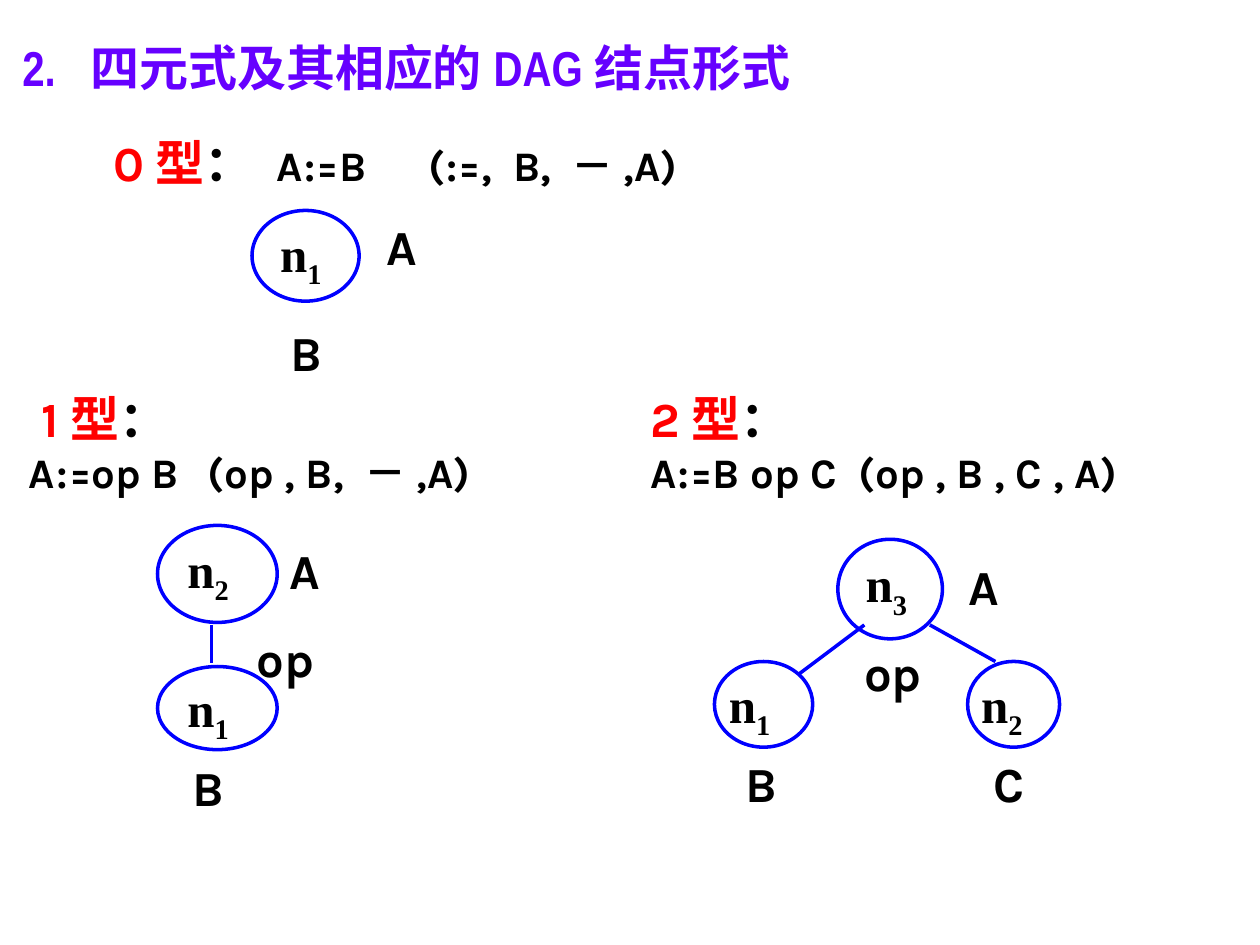
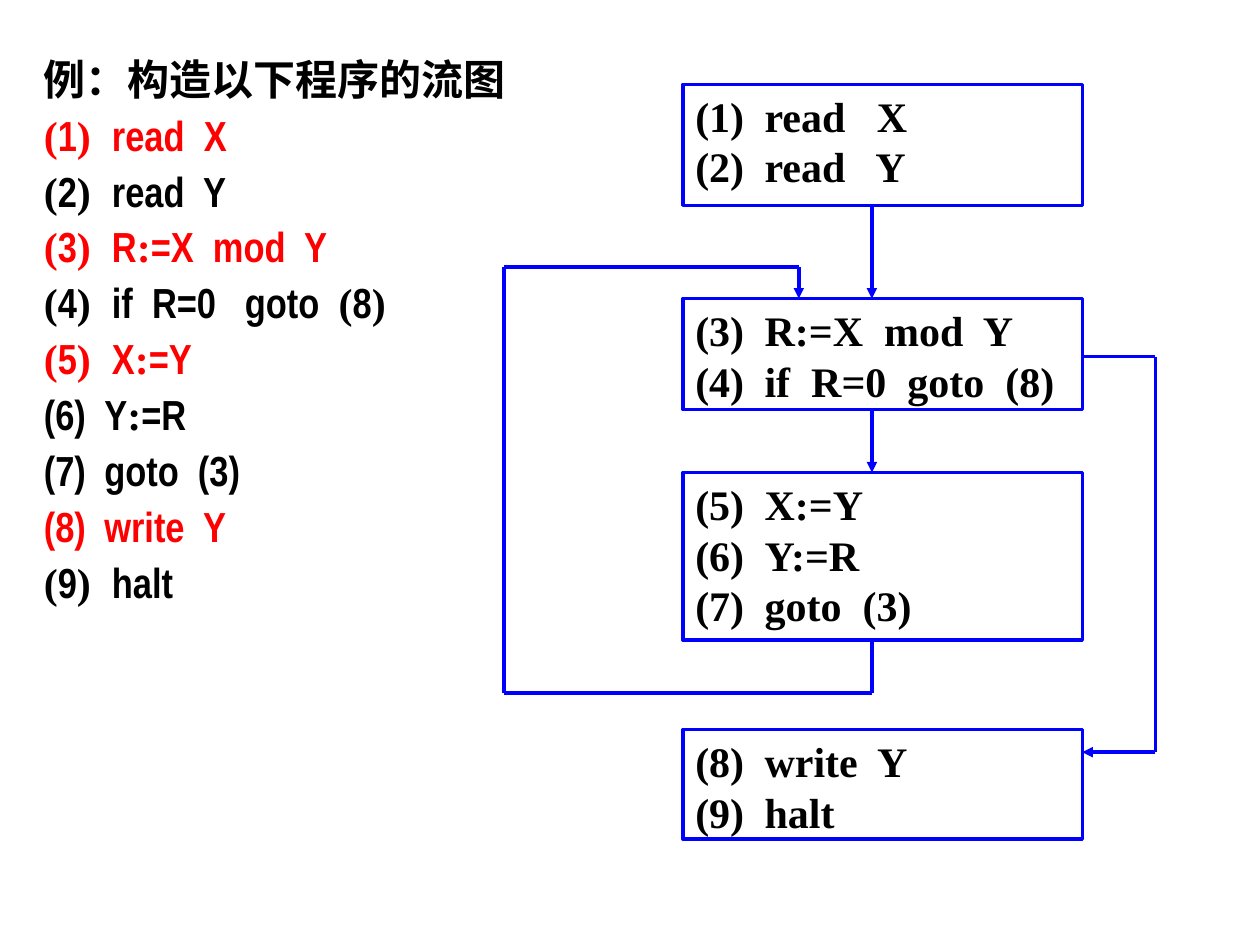
from dataclasses import dataclass
from itertools import groupby, pairwise

from lxml import etree
from pptx import Presentation
from pptx import util as u
from pptx.dml.color import RGBColor
from pptx.enum import shapes as sh, text as tx
from pptx.oxml.ns import qn


@dataclass(frozen=True)
class Theme:
    ink: str = "000000"
    red: str = "FF0000"
    blue: str = "0000FF"
    violet: str = "6600FF"
    paper: str = "FFFFFF"
    sans: str = "Karla"
    narrow: str = "Arial Narrow"
    serif: str = "Times New Roman"
    big: int = 28
    mid: int = 24
    line: int = 2


T = Theme()

TITLE = "2.\t四元式及其相应的DAG结点形式"

# Headings: place, inset, tab stop, lines of (text, colour, size) parts
HEADS = [
    ((0.8, 1, 5.2, 0.57), (0.1, 0.05), 2.5, [
        [("0型", T.red, T.big), ("： ", T.ink, T.big),
         ("A:=B\t(:=,  B, －,A)", T.ink, T.mid)]]),
    ((0.23, 3.08, 4.2, 0.93), (0, 0), 1.42, [
        [(" ", T.ink, T.big), ("1型", T.red, T.big), ("：", T.ink, T.big)],
        [("A:=op B\t(op , B, －,A)", T.ink, T.mid)]]),
    ((5.16, 3.08, 4.3, 0.87), (0, 0), 1, [
        [("2型", T.red, T.big), ("：", T.ink, T.big)],
        [("A:=B op C  (op , B , C , A)", T.ink, T.mid)]]),
]

# Nodes: index, place, left inset of the text
NODES = [
    ("1", (2, 1.67, 0.85, 0.72), 0.1),
    ("2", (1.25, 4.17, 0.95, 0.77), 0.1),
    ("1", (1.25, 5.29, 0.95, 0.66), 0.1),
    ("3", (6.65, 4.28, 0.83, 0.79), 0.1),
    ("1", (5.67, 5.25, 0.78, 0.68), 0),
    ("2", (7.68, 5.25, 0.73, 0.68), 0),
]
EDGES = [
    [(1.68, 4.96), (1.68, 5.26)],
    [(6.86, 4.96), (6.34, 5.35)],
    [(7.38, 4.96), (7.9, 5.25)],
]
LABELS = [
    ("B", 2.21, 2.51), ("A", 2.97, 1.67),
    ("op", 1.94, 4.94), ("B", 1.43, 5.96), ("A", 2.2, 4.24),
    ("B", 5.82, 5.93), ("C", 7.79, 5.93), ("op", 6.76, 5.05), ("A", 7.59, 4.37),
]

# Program: line, colour, characters set in the serif face
PROGRAM = [
    ("例：构造以下程序的流图", T.ink, ":()"),
    ("(1)\tread  X", T.red, ":()"),
    ("(2)\tread  Y", T.ink, ":()"),
    ("(3)\tR:=X  mod  Y", T.red, ":()"),
    ("(4)\tif  R=0   goto  (8)", T.ink, ":()"),
    ("(5)\tX:=Y", T.red, ":()"),
    ("(6)\tY:=R", T.ink, ":"),
    ("(7)\tgoto  (3)", T.ink, ":"),
    ("(8)\twrite  Y", T.red, ":"),
    ("(9)\thalt", T.ink, ":()"),
]

# Blocks of the flow graph: top, height, lines
BLOCKS = [
    (0.67, 0.96, ["(1)\tread   X", "(2)\tread   Y"]),
    (2.37, 0.88, ["(3)\tR:=X  mod  Y", "(4)\tif  R=0  goto  (8)"]),
    (3.75, 1.33, ["(5)\tX:=Y", "(6)\tY:=R", "(7)\tgoto  (3)"]),
    (5.79, 0.87, ["(8)\twrite  Y", "(9)\thalt"]),
]
LEFT, WIDE, MID = 5.42, 3.17, 6.92
RIGHT = LEFT + WIDE
FLOWS = [
    [(MID, 1.63), (MID, 2.37)],
    [(MID, 3.25), (MID, 3.75)],
    [(MID, 5.08), (MID, 5.5), (4, 5.5), (4, 2.12), (6.34, 2.12), (6.34, 2.37)],
    [(RIGHT, 2.83), (9.17, 2.83), (9.17, 5.97), (RIGHT, 5.97)],
]


def rgb(code):
    return RGBColor.from_string(code)


def add_run(para, words, font, size, color, base=None):
    run = para.add_run()
    run.text = words
    run.font.name, run.font.size, run.font.bold = font, u.Pt(size), True
    run.font.color.rgb = rgb(color)
    if base:
        run._r.get_or_add_rPr().set("baseline", str(base * 1000))


def add_mixed(para, words, font, size, color, serif=":"):
    """Set wide characters and those in serif in the serif face."""
    for odd, part in groupby(words, lambda c: c in serif or ord(c) > 0x2E00):
        add_run(para, "".join(part), T.serif if odd else font, size, color)


def set_tab(para, pos):
    tabs = etree.SubElement(para._p.get_or_add_pPr(), qn("a:tabLst"))
    etree.SubElement(tabs, qn("a:tab"), pos=str(u.Inches(pos)), algn="l")


def set_frame(shape, inset):
    """Prepare the text frame of a shape; inset is left and top."""
    frame = shape.text_frame
    frame.word_wrap = True
    frame.vertical_anchor = tx.MSO_ANCHOR.TOP
    side, top = map(u.Inches, inset)
    frame.margin_left = frame.margin_right = side
    frame.margin_top = frame.margin_bottom = top
    return frame


def add_text(slide, place, inset=(0.1, 0.05)):
    return set_frame(slide.shapes.add_textbox(*map(u.Inches, place)), inset)


def add_box(slide, kind, place, inset=(0.1, 0.05)):
    box = slide.shapes.add_shape(kind, *map(u.Inches, place))
    box.shadow.inherit = False
    box.fill.solid()
    box.fill.fore_color.rgb = rgb(T.paper)
    box.line.color.rgb = rgb(T.blue)
    box.line.width = u.Pt(T.line)
    return set_frame(box, inset)


def add_paras(frame, count, tab=None):
    """Yield count left-aligned paragraphs of a frame."""
    for i in range(count):
        para = frame.add_paragraph() if i else frame.paragraphs[0]
        para.alignment = tx.PP_ALIGN.LEFT
        if tab:
            set_tab(para, tab)
        yield para


def add_route(slide, points, arrow=False):
    legs = list(pairwise(points))
    for i, (a, b) in enumerate(legs, 1):
        leg = slide.shapes.add_connector(
            sh.MSO_CONNECTOR.STRAIGHT, *map(u.Inches, a + b))
        leg.line.color.rgb = rgb(T.blue)
        leg.line.width = u.Pt(T.line)
        props = leg._element.spPr
        if arrow and i == len(legs):
            etree.SubElement(props.find(qn("a:ln")), qn("a:tailEnd"), type="triangle")
        etree.SubElement(props, qn("a:effectLst"))


def draw_forms(slide):
    para, = add_paras(add_text(slide, (0.08, 0.25, 8.5, 0.67)), 1, 0.54)
    add_mixed(para, TITLE, T.narrow, T.big, T.violet)

    for place, inset, tab, lines in HEADS:
        frame = add_text(slide, place, inset)
        for para, parts in zip(add_paras(frame, len(lines), tab), lines):
            for words, color, size in parts:
                add_mixed(para, words, T.sans, size, color)

    for index, place, inset in NODES:
        frame = add_box(slide, sh.MSO_SHAPE.OVAL, place, (0, 0))
        frame.margin_left = u.Inches(inset)
        para, = add_paras(frame, 1)
        add_run(para, "n", T.serif, T.big, T.ink)
        add_run(para, index, T.serif, T.big, T.ink, base=-25)

    for points in EDGES:
        add_route(slide, points)

    for words, x, y in LABELS:
        para, = add_paras(add_text(slide, (x, y, 0.75, 0.57)), 1)
        add_run(para, words, T.sans, T.big, T.ink)


def draw_flow(slide):
    frame = add_text(slide, (0.25, 0.42, 4.17, 4.5))
    paras = add_paras(frame, len(PROGRAM))
    for i, (para, (words, color, serif)) in enumerate(zip(paras, PROGRAM)):
        para.line_spacing = 0.9
        if i:
            para.space_before = u.Pt(6)
        set_tab(para, 0.54 if "(" in serif else 0.48)
        add_mixed(para, words, T.narrow, T.mid, color, serif)

    for top, high, lines in BLOCKS:
        frame = add_box(slide, sh.MSO_SHAPE.RECTANGLE, (LEFT, top, WIDE, high))
        for para, words in zip(add_paras(frame, len(lines), 0.55), lines):
            add_run(para, words, T.serif, T.mid, T.ink)

    for points in FLOWS:
        add_route(slide, points, arrow=True)


def main():
    deck = Presentation()
    deck.slide_width, deck.slide_height = u.Inches(10), u.Inches(7.5)
    for draw in (draw_forms, draw_flow):
        slide = deck.slides.add_slide(deck.slide_layouts[6])
        slide.background.fill.solid()
        slide.background.fill.fore_color.rgb = rgb(T.paper)
        draw(slide)
    deck.save("out.pptx")


if __name__ == "__main__":
    main()
